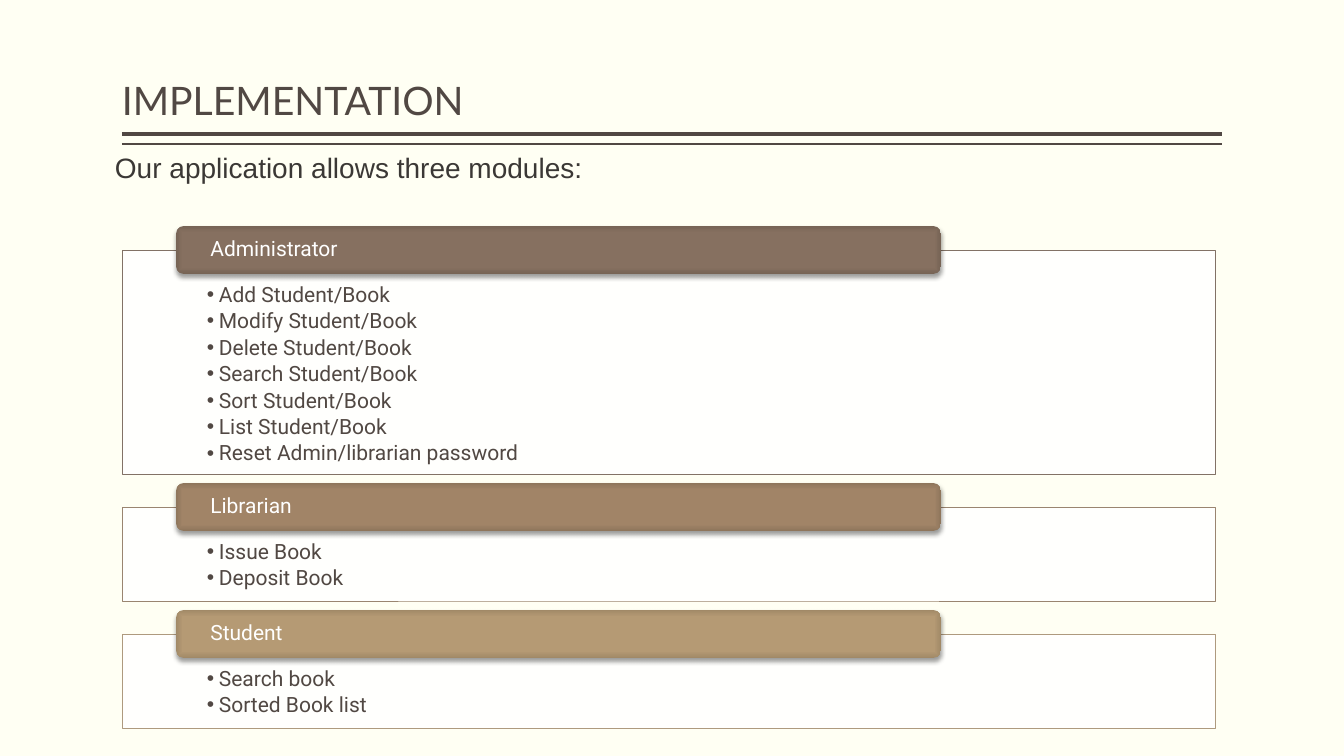
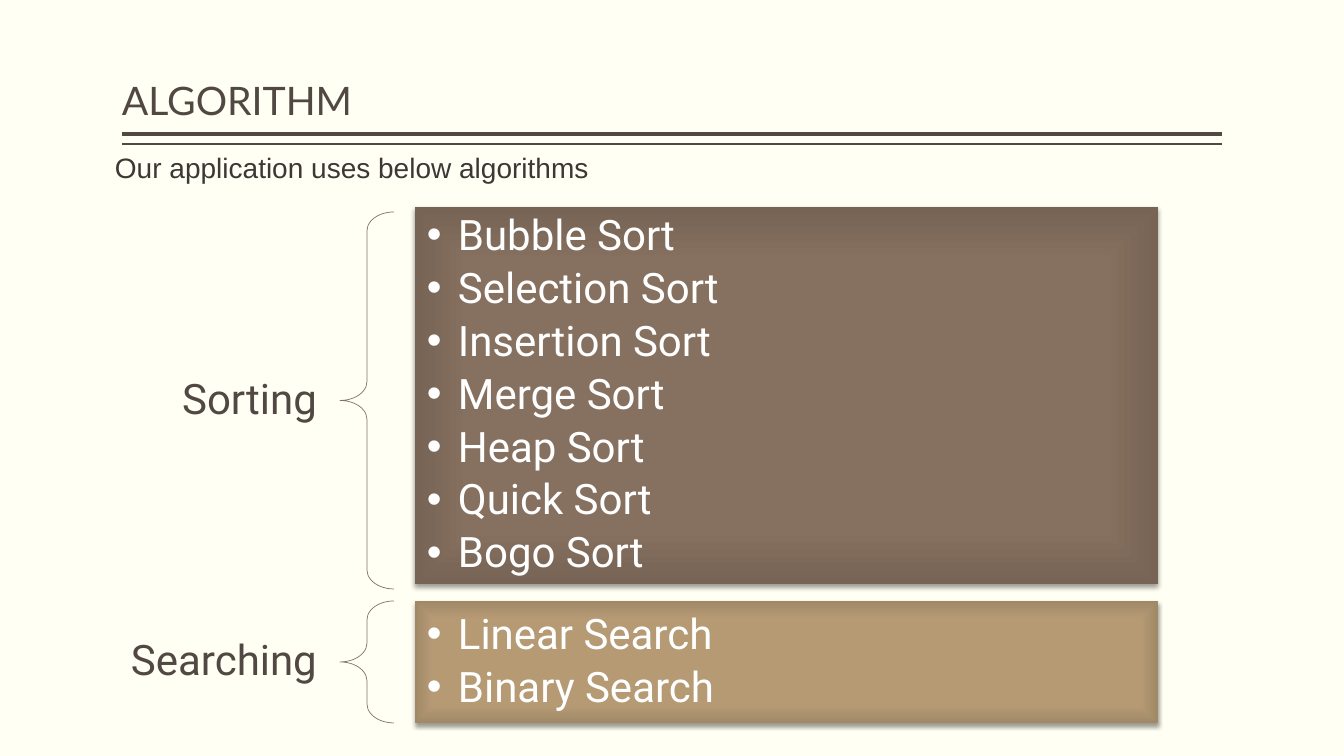
from dataclasses import dataclass

from pptx import Presentation, util as u
from pptx.dml.color import RGBColor
from pptx.enum import shapes, text
from pptx.oxml import parse_xml
from pptx.oxml.ns import nsdecls, qn
from lxml import etree

SCALE = 12192000 / 1344


@dataclass(frozen=True)
class Theme:
    background: str = "FFFFF3"
    ink: str = "514843"
    intro_ink: str = "3B3835"
    white: str = "FFFFFF"
    brace: str = "827266"
    umber: tuple = ("877161", "867060", "776455")
    tan: tuple = ("A28568", "A18467", "8F765C")
    sand: tuple = ("B79B75", "B59A74", "A18967")
    title_font: str = "Lato"
    intro_font: str = "Arial"
    body_font: str = "Roboto"
    title_size: int = 28
    intro_size: int = 20
    card_size: int = 15
    panel_size: int = 30


THEME = Theme()
MODULES = [
    ("Administrator", THEME.umber, "827266", [
        "Add Student/Book", "Modify Student/Book", "Delete Student/Book",
        "Search Student/Book", "Sort Student/Book", "List Student/Book",
        "Reset Admin/librarian password"]),
    ("Librarian", THEME.tan, "9A8570", ["Issue Book", "Deposit Book"]),
    ("Student", THEME.sand, "AE9A7E", ["Search book", "Sorted Book list"]),
]
ALGORITHMS = [
    ("Sorting", THEME.umber, 207, 212, [
        "Bubble Sort", "Selection Sort", "Insertion Sort", "Merge Sort",
        "Heap Sort", "Quick Sort", "Bogo Sort"]),
    ("Searching", THEME.sand, 601, 601, ["Linear Search", "Binary Search"]),
]


def px(value):
    return round(value * SCALE)


def box(left, top, width, height):
    return px(left), px(top), px(width), px(height)


def write(shape, lines, size, color, font=THEME.body_font, insets=(0, 0, 0, 0),
          anchor=text.MSO_ANCHOR.MIDDLE, align=text.PP_ALIGN.LEFT, bullet_indent=0):
    frame = shape.text_frame
    frame.word_wrap = True
    frame.vertical_anchor = anchor
    frame.margin_left, frame.margin_top, frame.margin_right, frame.margin_bottom = map(px, insets)
    frame.text = "\n".join(lines)
    for paragraph in frame.paragraphs:
        paragraph.alignment = align
        paragraph.line_spacing = 0.9
        if bullet_indent:
            paragraph.space_after = u.Pt(size * 0.18)
            add_bullet(paragraph, bullet_indent)
        for run in paragraph.runs:
            run.font.name = font
            run.font.size = u.Pt(size)
            run.font.color.rgb = RGBColor.from_string(color)


def add_bullet(paragraph, indent):
    properties = paragraph._p.get_or_add_pPr()
    properties.set("marL", str(px(indent)))
    properties.set("indent", str(-px(indent)))
    etree.SubElement(properties, qn("a:buFont")).set("typeface", "Arial")
    etree.SubElement(properties, qn("a:buChar")).set("char", "•")


def add_outline(slide, kind, area, color):
    shape = slide.shapes.add_shape(kind, *box(*area))
    shape.shadow.inherit = False
    shape.fill.background()
    shape.line.color.rgb = RGBColor.from_string(color)
    shape.line.width = u.Pt(0.5)
    return shape


def add_raised_block(slide, kind, area, gradient):
    shape = slide.shapes.add_shape(kind, *box(*area))
    shape.shadow.inherit = False
    shape.line.fill.background()
    shape.fill.solid()
    properties = shape._element.spPr
    stops = "".join(
        f'<a:gs pos="{position}"><a:srgbClr val="{color}"/></a:gs>'
        for position, color in zip((0, 71000, 100000), gradient))
    properties.replace(properties.find(qn("a:solidFill")), parse_xml(
        f'<a:gradFill {nsdecls("a")} rotWithShape="1"><a:gsLst>{stops}</a:gsLst>'
        '<a:path path="rect"><a:fillToRect l="50000" t="50000" r="50000" b="50000"/>'
        '</a:path></a:gradFill>'))
    properties.find(qn("a:effectLst")).append(parse_xml(
        f'<a:outerShdw {nsdecls("a")} blurRad="{u.Pt(3.1)}" dist="{u.Pt(2)}" '
        'dir="5400000" rotWithShape="0"><a:srgbClr val="000000">'
        '<a:alpha val="38000"/></a:srgbClr></a:outerShdw>'))
    return shape


def add_rule(slide, y, weight):
    rule = slide.shapes.add_connector(
        shapes.MSO_CONNECTOR.STRAIGHT, px(122), px(y), px(1222), px(y))
    rule.line.color.rgb = RGBColor.from_string(THEME.ink)
    rule.line.width = u.Pt(weight)
    etree.SubElement(rule._element.spPr, qn("a:effectLst"))


def add_page(presentation, title, intro):
    slide = presentation.slides.add_slide(presentation.slide_layouts[6])
    add_rule(slide, 134, 3)
    add_rule(slide, 144, 1)
    for line, area, size, color, font in (
            (title, (122, 67, 1100, 62), THEME.title_size, THEME.ink, THEME.title_font),
            (intro, (115, 69, 1100, 121), THEME.intro_size, THEME.intro_ink, THEME.intro_font)):
        write(slide.shapes.add_textbox(*box(*area)), [line], size, color, font,
              insets=(0, 5, 0, 5), anchor=text.MSO_ANCHOR.BOTTOM)
    return slide


def add_module_card(slide, top, height, name, gradient, border, actions):
    card = add_outline(slide, shapes.MSO_SHAPE.RECTANGLE, (122, top, 1093, height), border)
    card.fill.solid()
    card.fill.fore_color.rgb = RGBColor.from_string(THEME.white)
    fill_color = card._element.spPr.find(qn("a:solidFill"))[0]
    etree.SubElement(fill_color, qn("a:alpha")).set("val", "90000")
    write(card, actions, THEME.card_size, THEME.ink, insets=(85, 34, 85, 12),
          anchor=text.MSO_ANCHOR.TOP, bullet_indent=12)
    header = add_raised_block(
        slide, shapes.MSO_SHAPE.ROUNDED_RECTANGLE, (176, top - 24, 765, 48), gradient)
    write(header, [name], THEME.card_size, THEME.white, insets=(32, 0, 32, 0))


def add_algorithm_group(slide, name, gradient, top, brace_top, algorithms):
    height = 51 * len(algorithms) + 20
    label = slide.shapes.add_textbox(*box(67, brace_top + height / 2 - 33, 273, 66))
    write(label, [name], THEME.panel_size, THEME.ink, insets=(23, 8, 23, 8),
          align=text.PP_ALIGN.RIGHT)
    brace = add_outline(
        slide, shapes.MSO_SHAPE.LEFT_BRACE, (340, brace_top, 54, height), THEME.brace)
    brace.adjustments[0] = 0.35
    panel = add_raised_block(
        slide, shapes.MSO_SHAPE.RECTANGLE, (415, top, 743, height), gradient)
    write(panel, algorithms, THEME.panel_size, THEME.white, insets=(12, 12, 12, 12),
          bullet_indent=31)


def main():
    presentation = Presentation()
    presentation.slide_width, presentation.slide_height = px(1344), px(756)
    background = presentation.slide_master.background.fill
    background.solid()
    background.fore_color.rgb = RGBColor.from_string(THEME.background)

    slide = add_page(presentation, "IMPLEMENTATION", "Our application allows three modules:")
    top = 250
    for name, gradient, border, actions in MODULES:
        height = 26 * len(actions) + 42
        add_module_card(slide, top, height, name, gradient, border, actions)
        top += height + 33

    slide = add_page(presentation, "ALGORITHM", "Our application uses below algorithms")
    for group in ALGORITHMS:
        add_algorithm_group(slide, *group)

    presentation.save("out.pptx")


if __name__ == "__main__":
    main()
